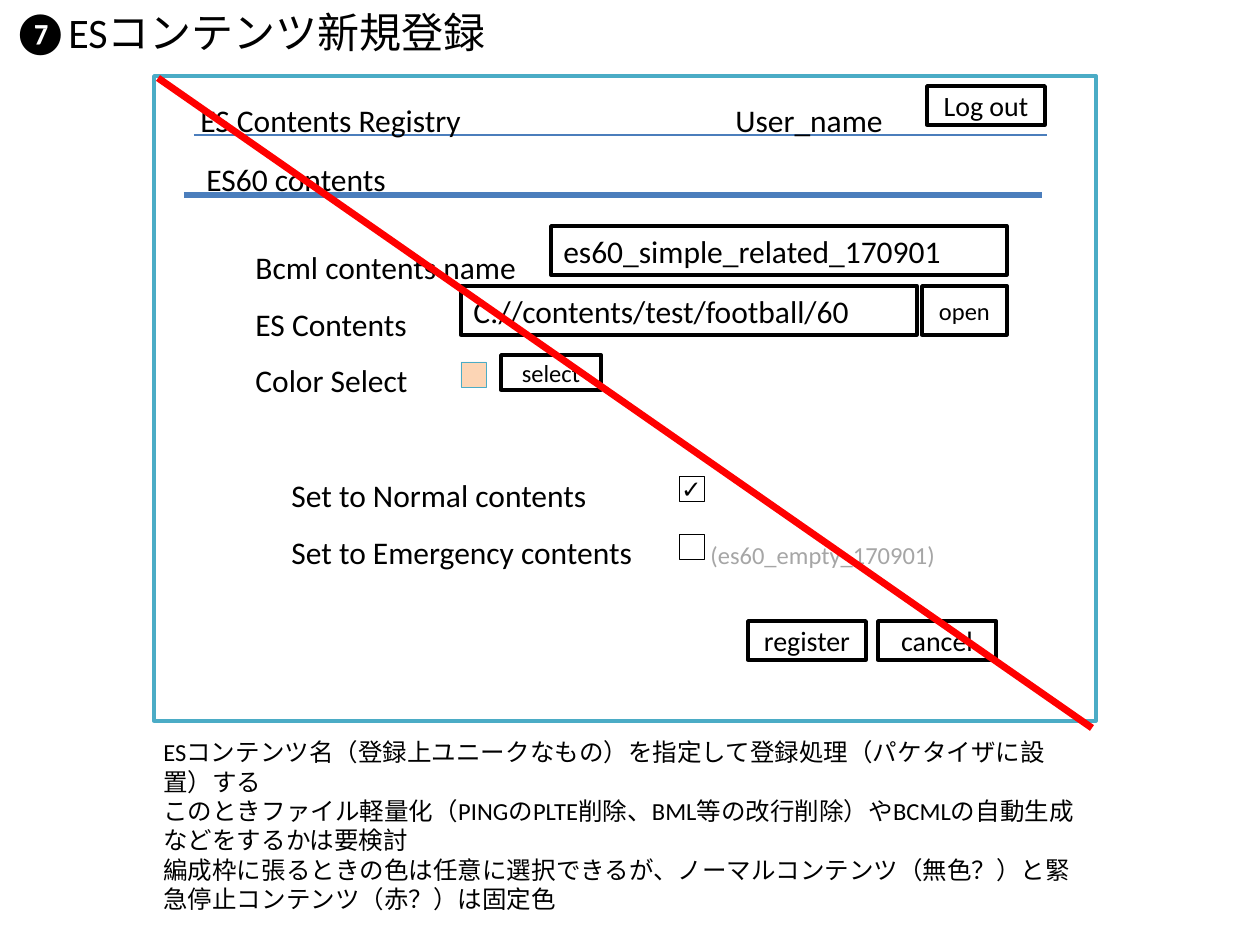
from dataclasses import dataclass

from lxml import etree
from pptx import Presentation
from pptx.dml.color import RGBColor
from pptx.enum.shapes import MSO_CONNECTOR as Connector, MSO_SHAPE as Shape
from pptx.enum.text import MSO_ANCHOR as Anchor, MSO_AUTO_SIZE as AutoSize, PP_ALIGN as Align
from pptx.oxml.ns import qn
from pptx.util import Emu, Pt

PX_PER_INCH = 126


@dataclass(frozen=True)
class Theme:
    font: str = "Calibri"
    ink: str = "000000"
    muted: str = "A6A6A6"
    paper: str = "FFFFFF"
    frame: str = "4BACC6"
    rule: str = "4B7EBC"
    swatch: str = "FCD5B5"
    strike: str = "FF0000"
    title: int = 24
    body: int = 18
    button: int = 16
    small: int = 14


THEME = Theme()


def px(n):
    return Emu(round(n * 914400 / PX_PER_INCH))


def rgb(value):
    return RGBColor.from_string(value)


def write(p, text, size=THEME.body, color=THEME.ink, align=Align.LEFT, spacing=None, before=0):
    """Add a run to a paragraph and format both."""
    p.alignment = align
    if spacing:
        p.line_spacing = spacing
    if before:
        p.space_before = Pt(before)
    r = p.add_run()
    r.text = text
    r.font.name = THEME.font
    r.font.size = Pt(size)
    r.font.color.rgb = rgb(color)


def add_tabs(p, *stops):
    tabs = etree.SubElement(p._p.get_or_add_pPr(), qn("a:tabLst"))
    for stop in stops:
        etree.SubElement(tabs, qn("a:tab"), pos=str(px(stop)), algn="l")


def add_title(s, text):
    sp = s.shapes.title
    sp.left, sp.top, sp.width, sp.height = px(0), px(0), px(1260), px(76)
    tf = sp.text_frame
    tf.auto_size = AutoSize.NONE
    tf.vertical_anchor = Anchor.TOP
    write(tf.paragraphs[0], text, size=THEME.title)


def add_text(s, x, y, w, h, lines, wrap=True, **fmt):
    sp = s.shapes.add_textbox(px(x), px(y), px(w), px(h))
    tf = sp.text_frame
    tf.word_wrap = wrap
    for i, line in enumerate(lines):
        p = tf.add_paragraph() if i else tf.paragraphs[0]
        write(p, line, **fmt)
    return tf


def add_box(s, x, y, w, h, text="", fill=THEME.paper, line=THEME.ink, weight=2,
            inset=None, align=Align.CENTER, **fmt):
    sp = s.shapes.add_shape(Shape.RECTANGLE, px(x), px(y), px(w), px(h))
    sp.shadow.inherit = False
    sp.fill.solid()
    sp.fill.fore_color.rgb = rgb(fill)
    sp.line.color.rgb = rgb(line)
    sp.line.width = Pt(weight)
    if text:
        tf = sp.text_frame
        tf.vertical_anchor = Anchor.MIDDLE
        if inset is not None:
            tf.margin_left = tf.margin_right = tf.margin_top = tf.margin_bottom = px(inset)
        write(tf.paragraphs[0], text, align=align, **fmt)


def add_line(s, x1, y1, x2, y2, color, weight):
    cn = s.shapes.add_connector(Connector.STRAIGHT, px(x1), px(y1), px(x2), px(y2))
    cn.line.color.rgb = rgb(color)
    cn.line.width = Pt(weight)
    etree.SubElement(cn._element.spPr, qn("a:effectLst"))


def add_header(s):
    add_line(s, 194, 135, 1047, 135, THEME.rule, 0.75)
    add_box(s, 927, 86, 118, 39, "Log out", size=THEME.button)
    add_text(s, 188, 76, 289, 71, ["ES Contents Registry"], wrap=False, spacing=1.5)
    add_text(s, 723, 76, 174, 64, ["User_name"], wrap=False, spacing=1.5)
    add_text(s, 194, 135, 655, 71, ["ES60 contents"], spacing=1.5)
    add_line(s, 184, 195, 1042, 195, THEME.rule, 3)


def add_form(s):
    tf = add_text(s, 243, 223, 799, 357,
                  ["Bcml contents name", "ES Contents", "Color Select"], spacing=1.5)
    normal, emergency = tf.add_paragraph(), tf.add_paragraph()
    write(normal, "\tSet to Normal contents", spacing=1.5, before=33)
    write(emergency, "\tSet to Emergency contents\t", spacing=1.5)
    write(emergency, "(es60_empty_170901)", size=THEME.small, color=THEME.muted, spacing=1.5)
    for p in (normal, emergency):
        add_tabs(p, 36, 455)

    for x, y, text in ((551, 226, "es60_simple_related_170901"),
                       (461, 286, "C://contents/test/football/60")):
        add_box(s, x, y, 456, 49, text, align=Align.LEFT)
    add_box(s, 922, 286, 85, 49, "open", size=THEME.small)
    for x, text in ((878, "cancel"), (748, "register")):
        add_box(s, x, 621, 118, 39, text, size=THEME.button)

    for y, mark in ((476, "✓"), (534, "")):
        add_box(s, 679, y, 25, 25, mark, weight=0.25, inset=0, size=THEME.small)
    add_box(s, 461, 362, 25, 25, fill=THEME.swatch, line=THEME.frame, weight=0.25)
    add_box(s, 501, 355, 100, 35, "select", size=THEME.small)


def main():
    prs = Presentation()
    prs.slide_width, prs.slide_height = px(1260), px(945)
    s = prs.slides.add_slide(prs.slide_layouts[5])

    add_title(s, "❼ESコンテンツ新規登録")
    add_box(s, 154, 76, 942, 645, line=THEME.frame)
    add_header(s)
    add_form(s)
    add_text(s, 151, 731, 945, 161, [
        "ESコンテンツ名（登録上ユニークなもの）を指定して登録処理（パケタイザに設置）する",
        "このときファイル軽量化（PINGのPLTE削除、BML等の改行削除）やBCMLの自動生成などをするかは要検討",
        "編成枠に張るときの色は任意に選択できるが、ノーマルコンテンツ（無色？）と緊急停止コンテンツ（赤？）は固定色",
    ], size=THEME.small)
    add_line(s, 158, 78, 1092, 728, THEME.strike, 4)

    prs.save("out.pptx")


if __name__ == "__main__":
    main()
